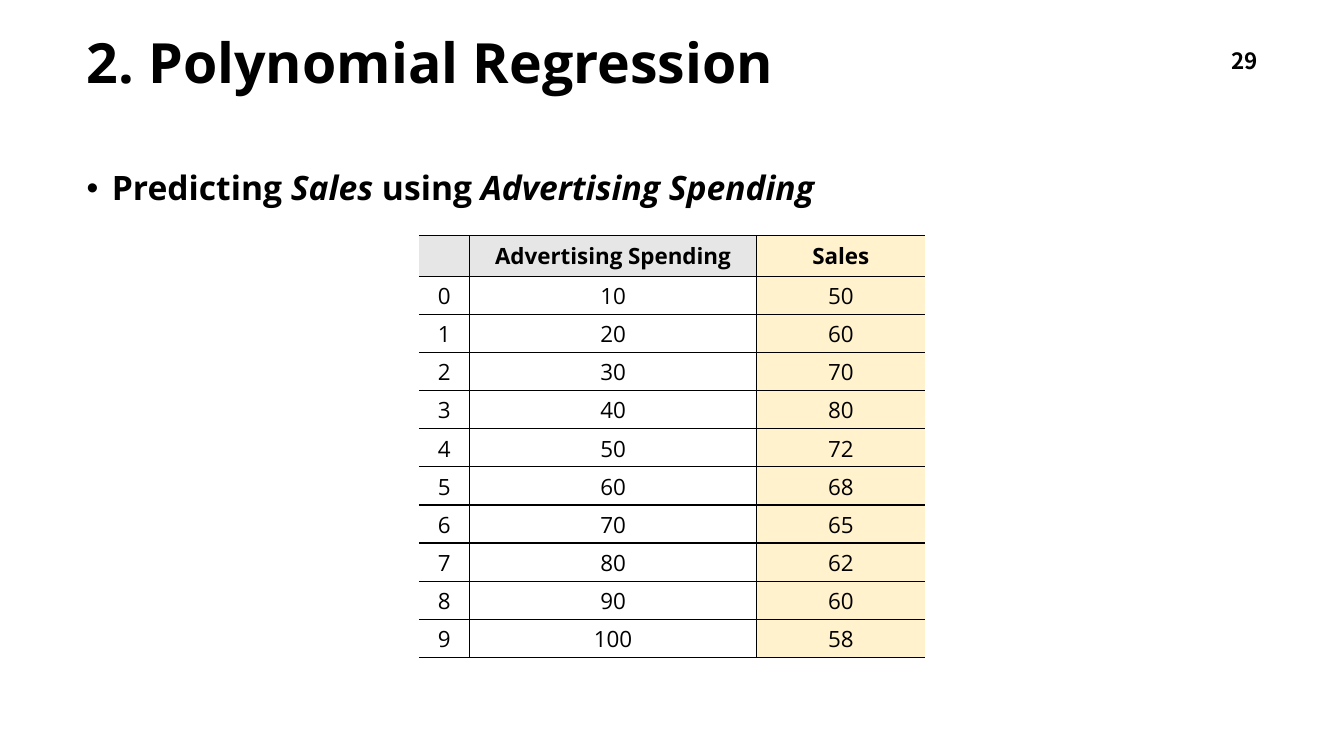
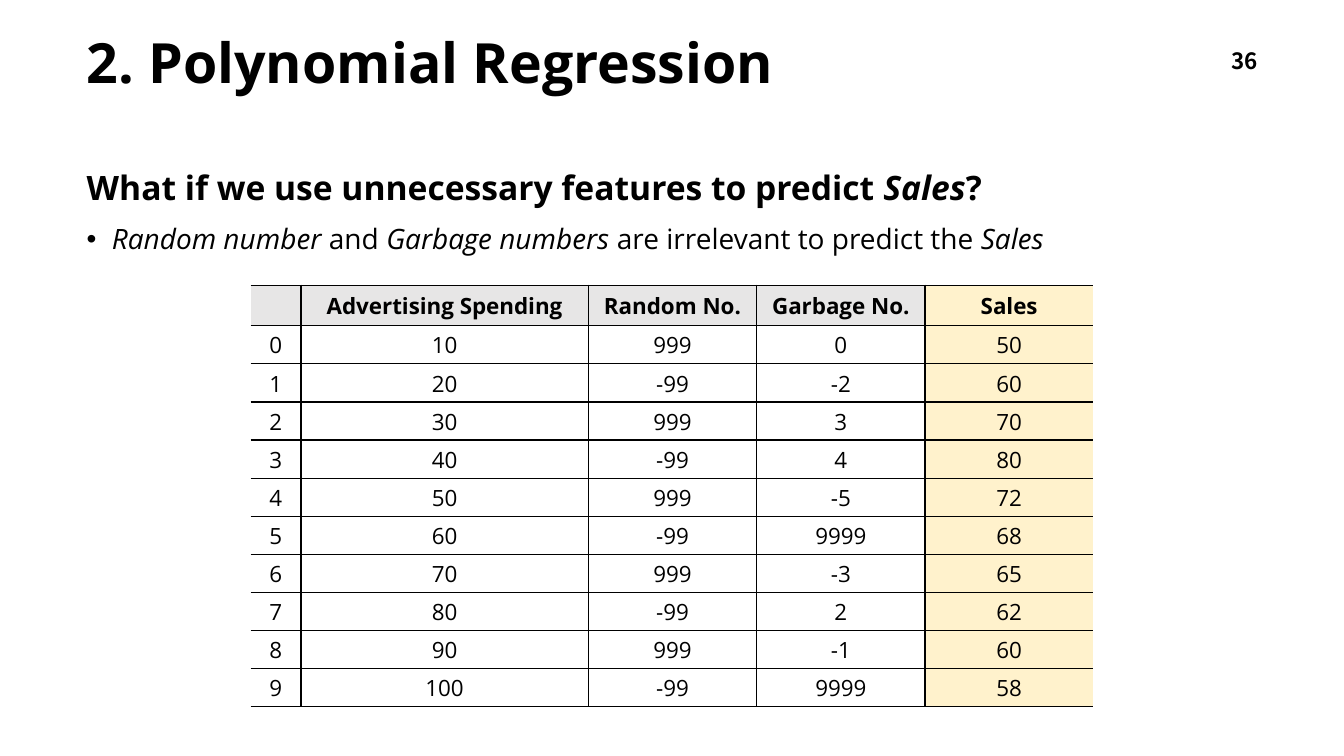
"""Builds two slides on polynomial regression with data tables."""
from dataclasses import dataclass

from lxml.etree import SubElement
from pptx import Presentation
from pptx.dml.color import RGBColor
from pptx.enum.text import MSO_ANCHOR, MSO_AUTO_SIZE, PP_ALIGN
from pptx.oxml.ns import qn
from pptx.util import Inches, Pt

COLORS = {"text": "000000", "header": "E7E6E6", "target": "FFF2CC", "border": "000000"}
FONT = "Open Sans"
NUMBER_FONT = "Noto Sans CJK KR"
SLIDE_WIDTH = 13.33
TABLE_HEIGHT = 4.16
INDEX_WIDTH = 0.5
TITLE = "2. Polynomial Regression"


@dataclass(frozen=True)
class Line:
    runs: tuple[tuple[str, bool], ...]
    size: float
    bold: bool
    bullet: bool
    spacing: float


@dataclass(frozen=True)
class Column:
    header: str
    width: float
    values: tuple[int, ...]


@dataclass(frozen=True)
class Page:
    number: int
    lines: tuple[Line, ...]
    columns: tuple[Column, ...]
    table_top: float


INDEX = Column("", INDEX_WIDTH, tuple(range(10)))
SPENDING = Column("Advertising Spending", 2.85, tuple(range(10, 101, 10)))
RANDOM = Column("Random No.", 1.67, (999, -99) * 5)
GARBAGE = Column("Garbage No.", 1.67, (0, -2, 3, 4, -5, 9999, -3, 2, -1, 9999))
SALES = Column("Sales", 1.67, (50, 60, 70, 80, 72, 68, 65, 62, 60, 58))

PAGES = (
    Page(
        29,
        (
            Line(
                (("Predicting ", False), ("Sales", True), (" using ", False),
                 ("Advertising Spending", True)),
                24, True, True, 1.5,
            ),
        ),
        (INDEX, SPENDING, SALES),
        2.34,
    ),
    Page(
        36,
        (
            Line(
                (("What if we use unnecessary features to predict ", False),
                 ("Sales", True), ("?", False)),
                24, True, False, 1.5,
            ),
            Line(
                (("Random number", True), (" and ", False), ("Garbage numbers", True),
                 (" are irrelevant to predict the ", False), ("Sales", True)),
                20, False, True, 1.0,
            ),
        ),
        (INDEX, SPENDING, RANDOM, GARBAGE, SALES),
        2.83,
    ),
)


def add_run(p, text: str, size: float, bold: bool, italic: bool = False,
            font: str = FONT) -> None:
    r = p.add_run()
    r.text = text
    r.font.name = font
    r.font.size = Pt(size)
    r.font.bold = bold
    r.font.italic = italic
    r.font.color.rgb = RGBColor.from_string(COLORS["text"])


def place(sp, left: float, top: float, width: float, height: float, anchor: MSO_ANCHOR):
    sp.left, sp.top = Inches(left), Inches(top)
    sp.width, sp.height = Inches(width), Inches(height)
    tf = sp.text_frame
    tf.word_wrap = True
    tf.auto_size = MSO_AUTO_SIZE.NONE
    tf.vertical_anchor = anchor
    return tf


def set_bullet(p, bullet: bool) -> None:
    pPr = p._p.get_or_add_pPr()
    indent = Inches(0.25) if bullet else 0
    pPr.set("marL", str(indent))
    pPr.set("indent", str(-indent))
    if bullet:
        SubElement(pPr, qn("a:buFont"), typeface="Arial")
        SubElement(pPr, qn("a:buChar"), char="•")
    else:
        SubElement(pPr, qn("a:buNone"))


def add_title(s) -> None:
    p = place(s.shapes.title, 0.76, 0.4, 11.61, 0.5, MSO_ANCHOR.MIDDLE).paragraphs[0]
    p.alignment = PP_ALIGN.LEFT
    p.line_spacing = 0.9
    add_run(p, TITLE, 39.6, True)


def add_number(s, number: int) -> None:
    sp = s.shapes.add_textbox(0, 0, 0, 0)
    p = place(sp, 9.57, 0.4, 3, 0.4, MSO_ANCHOR.MIDDLE).paragraphs[0]
    p.alignment = PP_ALIGN.RIGHT
    add_run(p, str(number), 16, True, font=NUMBER_FONT)


def add_body(s, lines: tuple[Line, ...]) -> None:
    tf = place(s.placeholders[1], 0.76, 1.41, 11.81, 5.44, MSO_ANCHOR.TOP)
    for i, line in enumerate(lines):
        p = tf.add_paragraph() if i else tf.paragraphs[0]
        p.line_spacing = line.spacing
        p.space_before = Pt(10)
        set_bullet(p, line.bullet)
        for text, italic in line.runs:
            add_run(p, text, line.size, line.bold, italic)


def set_borders(cell, first: bool, last: bool) -> None:
    tcPr = cell._tc.get_or_add_tcPr()
    for i, (side, shown) in enumerate((("L", not first), ("R", not last),
                                       ("T", True), ("B", True))):
        ln = tcPr.makeelement(qn(f"a:ln{side}"), {"w": str(Pt(1))})
        if shown:
            fill = SubElement(ln, qn("a:solidFill"))
            SubElement(fill, qn("a:srgbClr"), val=COLORS["border"])
        else:
            SubElement(ln, qn("a:noFill"))
        tcPr.insert(i, ln)


def fill_cell(cell, text: str, header: bool, target: bool) -> None:
    if target or header:
        cell.fill.solid()
        name = "target" if target else "header"
        cell.fill.fore_color.rgb = RGBColor.from_string(COLORS[name])
    else:
        cell.fill.background()
    roomy = header and bool(text)
    cell.margin_left = cell.margin_right = Inches(0.09 if roomy else 0.01)
    cell.margin_top = Inches(0.05 if roomy else 0.01)
    cell.margin_bottom = Inches(0.05 if roomy else 0)
    cell.vertical_anchor = MSO_ANCHOR.TOP if header else MSO_ANCHOR.MIDDLE
    if text:
        p = cell.text_frame.paragraphs[0]
        p.alignment = PP_ALIGN.CENTER
        add_run(p, text, 16, header)


def add_data_table(s, columns: tuple[Column, ...], top: float) -> None:
    width = sum(c.width for c in columns)
    rows = len(INDEX.values) + 1
    table = s.shapes.add_table(
        rows, len(columns), Inches((SLIDE_WIDTH - width) / 2), Inches(top),
        Inches(width), Inches(TABLE_HEIGHT),
    ).table
    table.first_row = table.horz_banding = False
    for row in table.rows:
        row.height = Inches(TABLE_HEIGHT / rows)
    for j, column in enumerate(columns):
        table.columns[j].width = Inches(column.width)
        for i, value in enumerate((column.header, *column.values)):
            cell = table.cell(i, j)
            fill_cell(cell, str(value), i == 0, column is SALES)
            set_borders(cell, j == 0, j == len(columns) - 1)


def main() -> None:
    prs = Presentation()
    prs.slide_width, prs.slide_height = Inches(SLIDE_WIDTH), Inches(7.5)
    for page in PAGES:
        s = prs.slides.add_slide(prs.slide_layouts[1])
        add_title(s)
        add_number(s, page.number)
        add_body(s, page.lines)
        add_data_table(s, page.columns, page.table_top)
    prs.save("out.pptx")


if __name__ == "__main__":
    main()
